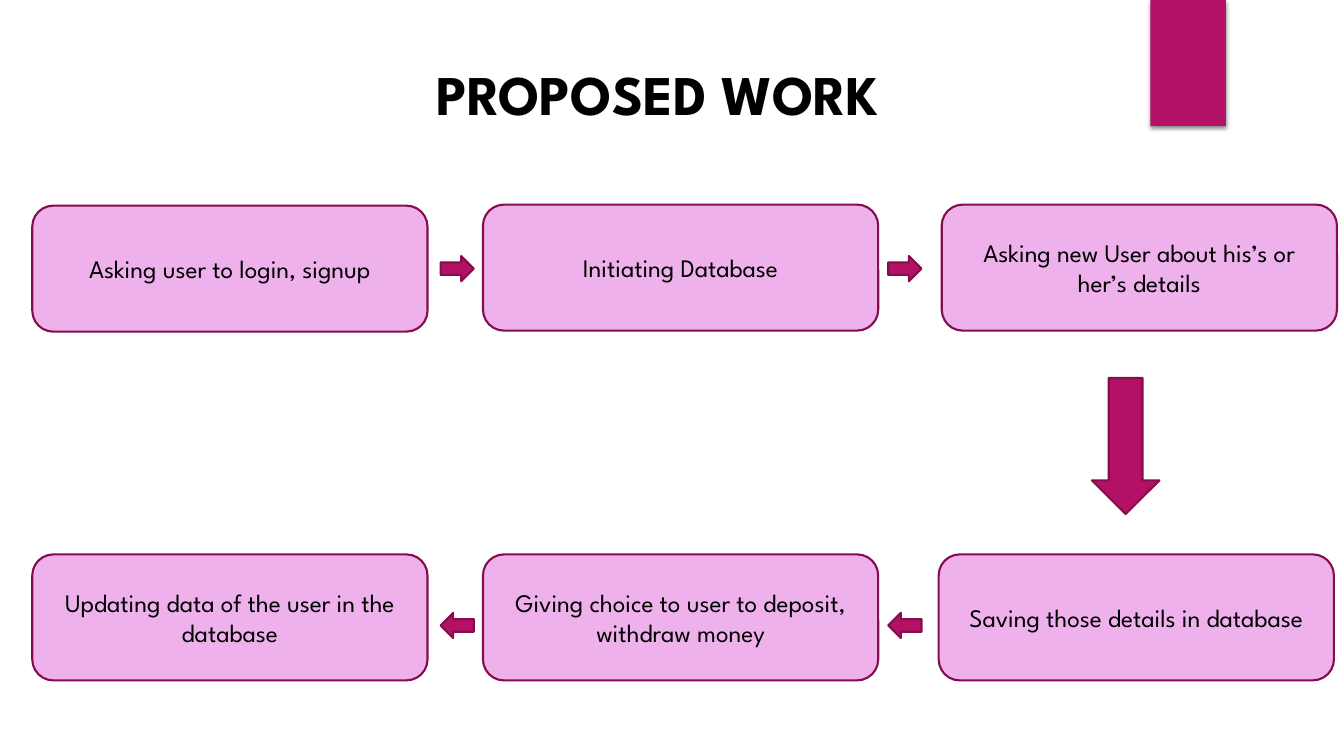
from lxml import etree
from pptx import Presentation
from pptx.dml.color import RGBColor
from pptx.enum.shapes import MSO_SHAPE
from pptx.enum.text import MSO_ANCHOR, MSO_AUTO_SIZE, PP_ALIGN
from pptx.util import Inches, Pt

RECTANGLE = MSO_SHAPE.RECTANGLE
ROUNDED = MSO_SHAPE.ROUNDED_RECTANGLE
RIGHT_ARROW = MSO_SHAPE.RIGHT_ARROW
LEFT_ARROW = MSO_SHAPE.LEFT_ARROW
DOWN_ARROW = MSO_SHAPE.DOWN_ARROW
MIDDLE = MSO_ANCHOR.MIDDLE
LEFT, CENTER = PP_ALIGN.LEFT, PP_ALIGN.CENTER
FIT_SHAPE = MSO_AUTO_SIZE.SHAPE_TO_FIT_TEXT

MAGENTA = RGBColor(0xB3, 0x11, 0x66)
OUTLINE = RGBColor(0x84, 0x0D, 0x4B)
PINK = RGBColor(0xEE, 0xB1, 0xEC)
BLACK = RGBColor(0x00, 0x00, 0x00)
FONT = "League Spartan"
STEP_WIDTH, STEP_HEIGHT = 3.92, 1.25
ARROW_WIDTH, ARROW_HEIGHT = 0.33, 0.25

deck = Presentation()
deck.slide_width, deck.slide_height = Inches(13.33), Inches(7.5)
page = deck.slides.add_slide(deck.slide_layouts[6])


def write(box, text, size=18, bold=False, align=CENTER):
    para = box.text_frame.paragraphs[0]
    para.alignment = align
    span = para.add_run()
    span.text = text
    span.font.name, span.font.size = FONT, Pt(size)
    span.font.bold, span.font.color.rgb = bold, BLACK


def add_block(kind, left, top, width, height, fill, outlined=True):
    block = page.shapes.add_shape(
        kind, Inches(left), Inches(top), Inches(width), Inches(height))
    block.shadow.inherit = False
    block.fill.solid()
    block.fill.fore_color.rgb = fill
    if outlined:
        block.line.color.rgb = OUTLINE
        block.line.width = Pt(1.5)
    else:
        block.line.fill.background()
    return block


# Corner tab with a soft shadow below it
tab = add_block(RECTANGLE, 11.41, 0, 0.75, 1.25, MAGENTA, outlined=False)
NAMESPACE = "{http://schemas.openxmlformats.org/drawingml/2006/main}"
effects = tab.element.spPr.find(NAMESPACE + "effectLst")
shadow = etree.SubElement(effects, NAMESPACE + "outerShdw", blurRad=str(Pt(3)),
                          dist=str(Pt(2)), dir="5400000", rotWithShape="0")
shade = etree.SubElement(shadow, NAMESPACE + "srgbClr", val="000000")
etree.SubElement(shade, NAMESPACE + "alpha", val="45000")

# Title
title = page.shapes.add_textbox(Inches(4.23), Inches(0.54), Inches(4.88), Inches(0.77))
title.text_frame.word_wrap = False
title.text_frame.auto_size = FIT_SHAPE
write(title, "PROPOSED WORK", size=40, bold=True, align=LEFT)

# Steps: along the top row, then back along the bottom row
steps = [
    (0.32, 2.04, "Asking user to login, signup"),
    (4.79, 2.03, "Initiating Database"),
    (9.34, 2.03, "Asking new User about his’s or her’s details"),
    (9.31, 5.5, "Saving those details in database"),
    (4.79, 5.5, "Giving choice to user to deposit, withdraw money"),
    (0.32, 5.5, "Updating data of the user in the database"),
]
for left, top, text in steps:
    step = add_block(ROUNDED, left, top, STEP_WIDTH, STEP_HEIGHT, PINK)
    step.text_frame.word_wrap = True
    step.text_frame.vertical_anchor = MIDDLE
    write(step, text)

# Arrows between the steps
for kind, top in ((RIGHT_ARROW, 2.54), (LEFT_ARROW, 6.08)):
    for left in (4.37, 8.81):
        add_block(kind, left, top, ARROW_WIDTH, ARROW_HEIGHT, MAGENTA)
add_block(DOWN_ARROW, 10.83, 3.75, 0.67, 1.35, MAGENTA)

deck.save("out.pptx")
